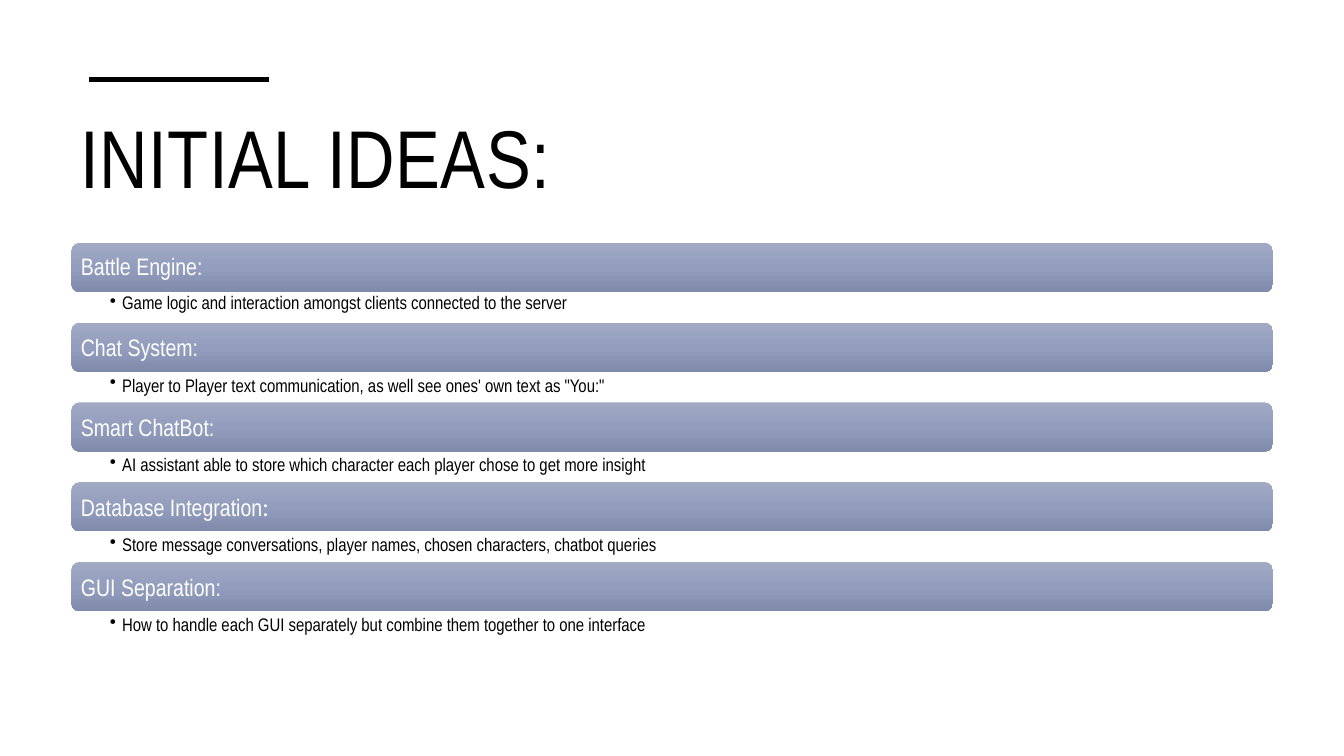
from copy import deepcopy

from pptx import Presentation
from pptx.dml.color import RGBColor
from pptx.enum.shapes import MSO_CONNECTOR, MSO_SHAPE
from pptx.enum.text import MSO_ANCHOR, MSO_AUTO_SIZE, PP_ALIGN
from pptx.oxml.ns import qn
from pptx.oxml.xmlchemy import OxmlElement
from pptx.util import Cm, Pt

STRAIGHT = MSO_CONNECTOR.STRAIGHT
ROUNDED = MSO_SHAPE.ROUNDED_RECTANGLE
TOP, MIDDLE = MSO_ANCHOR.TOP, MSO_ANCHOR.MIDDLE
NO_FIT = MSO_AUTO_SIZE.NONE
LEFT = PP_ALIGN.LEFT

COLORS = {"ink": "000000", "paper": "FFFFFF",
          "bar_top": "A1A9C3", "bar_middle": "939DBD", "bar_bottom": "808AAA"}
BAR_STOPS = [(0, "bar_top"), (0.5, "bar_middle"), (1, "bar_bottom")]
FONT, COLON_FONT = "Arial Narrow", "Lato"

BAR_LEFT, BAR_WIDTH, BAR_HEIGHT = 1.8, 30.28, 1.24
FIRST_TOP, ROW_STEP, DETAIL_HEIGHT = 6.12, 2.01, 0.78

# Each heading is a list of (text, font) spans.
IDEAS = [
    ([("Battle Engine:", FONT)],
     "Game logic and interaction amongst clients connected to the server"),
    ([("Chat System:", FONT)],
     "Player to Player text communication, as well see ones' own text as \"You:\""),
    ([("Smart ChatBot:", FONT)],
     "AI assistant able to store which character each player chose to get more insight"),
    ([("Database Integration", FONT), (":", COLON_FONT)],
     "Store message conversations, player names, chosen characters, chatbot queries"),
    ([("GUI Separation:", FONT)],
     "How to handle each GUI separately but combine them together to one interface"),
]


def color(name):
    return RGBColor.from_string(COLORS[name])


def apply(target, values):
    for name, value in values.items():
        setattr(target, name, value)


class IdeaPage:
    def __init__(self, page):
        self.page = page

    def fill_text(self, shape, spans, size, ink, frame_format, spacing):
        """Fill a shape with one paragraph of (text, font) spans and return it."""
        frame = shape.text_frame
        apply(frame, {"word_wrap": True, "auto_size": NO_FIT, **frame_format})
        para = frame.paragraphs[0]
        apply(para, {"alignment": LEFT, "line_spacing": spacing})
        for text, font in spans:
            span = para.add_run()
            span.text = text
            apply(span.font, {"name": font, "size": Pt(size)})
            span.font.color.rgb = color(ink)
        return para

    def title(self, text):
        title = self.page.shapes.title
        apply(title, {"left": Cm(1.78), "top": Cm(2.51),
                      "width": Cm(15.14), "height": Cm(3.12)})
        para = self.fill_text(title, [(text, FONT)], 58.5, "ink",
                              {"vertical_anchor": MIDDLE}, 0.9)
        para.runs[0]._r.get_or_add_rPr().set("spc", "30")

    def rule(self, left, right, top, weight):
        rule = self.page.shapes.add_connector(
            STRAIGHT, Cm(left), Cm(top), Cm(right), Cm(top))
        rule.line.color.rgb = color("ink")
        rule.line.width = Pt(weight)
        rule._element.spPr.append(OxmlElement("a:effectLst"))

    def bar(self, spans, top, spacing):
        bar = self.page.shapes.add_shape(
            ROUNDED, Cm(BAR_LEFT), Cm(top), Cm(BAR_WIDTH), Cm(BAR_HEIGHT))
        bar.shadow.inherit = False
        bar.line.fill.background()
        bar.fill.gradient()
        bar.fill.gradient_angle = 270
        stop_list = bar._element.spPr.find(qn("a:gradFill")).find(qn("a:gsLst"))
        stop_list.append(deepcopy(stop_list[-1]))
        for stop, (position, name) in zip(bar.fill.gradient_stops, BAR_STOPS):
            stop.position = position
            stop.color.rgb = color(name)
        margins = {"margin_left": Cm(0.18), "margin_right": Cm(0.18),
                   "margin_top": Cm(0.1), "margin_bottom": Cm(0.1)}
        self.fill_text(bar, spans, 17, "paper",
                       {"vertical_anchor": MIDDLE, **margins}, spacing)

    def detail(self, text, top, spacing):
        box = self.page.shapes.add_textbox(
            Cm(BAR_LEFT), Cm(top), Cm(BAR_WIDTH), Cm(DETAIL_HEIGHT))
        margins = {"margin_left": Cm(0.97), "margin_right": Cm(0.33),
                   "margin_top": Cm(0.05), "margin_bottom": Cm(0.05)}
        para = self.fill_text(box, [(text, FONT)], 13, "ink",
                              {"vertical_anchor": TOP, **margins}, spacing)
        para.level = 1
        properties = para._p.get_or_add_pPr()
        properties.set("marL", str(Cm(0.31)))
        properties.set("indent", str(-Cm(0.31)))
        bullet = OxmlElement("a:buChar")
        bullet.set("char", "•")
        properties.append(bullet)


def main():
    deck = Presentation()
    apply(deck, {"slide_width": Cm(33.87), "slide_height": Cm(19.05)})
    ideas_page = IdeaPage(deck.slides.add_slide(deck.slide_layouts[5]))
    ideas_page.title("INITIAL IDEAS:")
    ideas_page.rule(2.24, 6.78, 2.01, 3.5)
    for row, (heading, detail) in enumerate(IDEAS):
        top = FIRST_TOP + row * ROW_STEP
        spacing = 0.9 if row == 0 else 1.0
        ideas_page.bar(heading, top, spacing)
        ideas_page.detail(detail, top + BAR_HEIGHT, spacing)
    deck.save("out.pptx")


if __name__ == "__main__":
    main()
